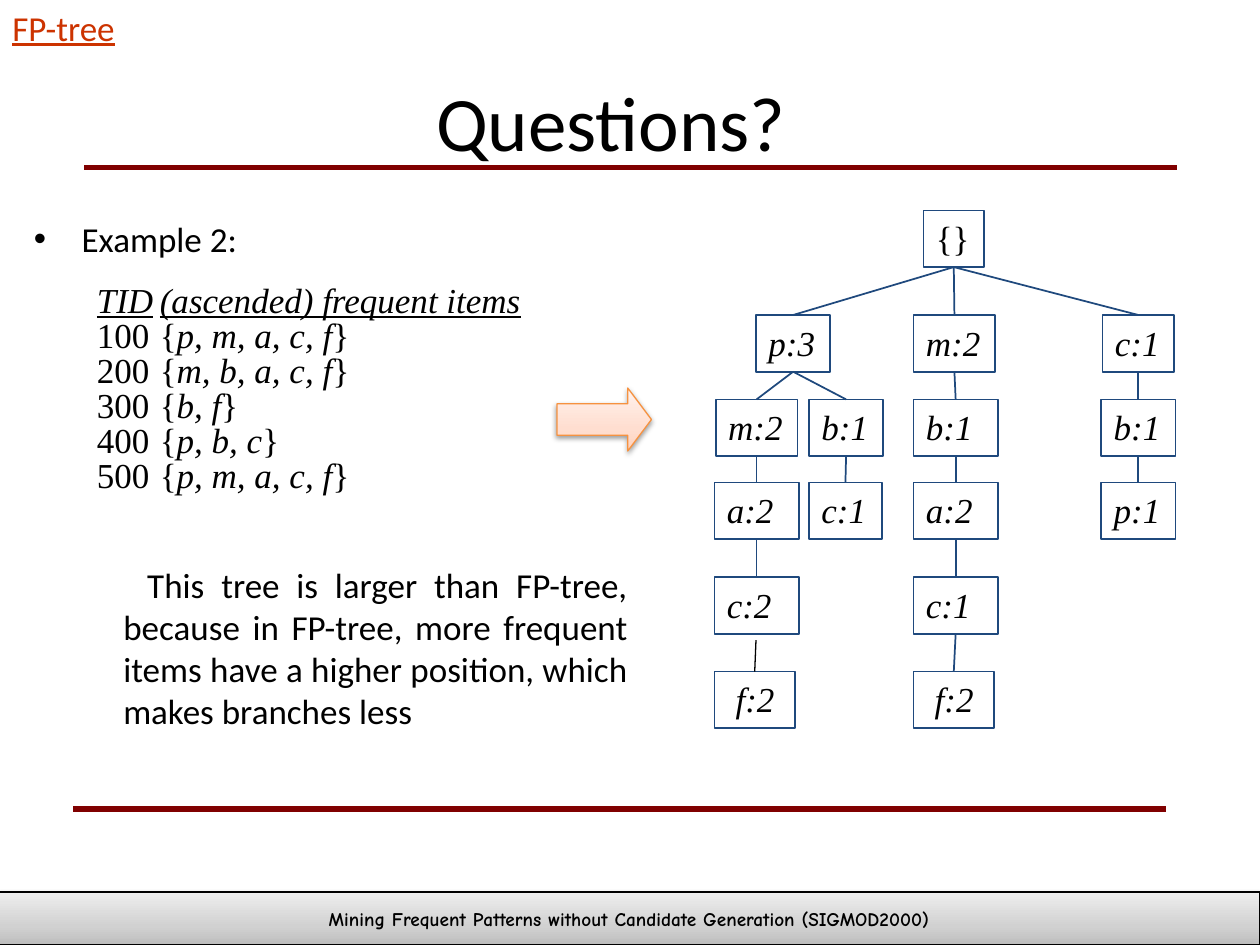
"""Builds the Questions slide on an ascending-order frequent pattern tree."""
from dataclasses import dataclass

from lxml import etree
from pptx import Presentation
from pptx.dml.color import RGBColor
from pptx.enum.shapes import MSO_CONNECTOR, MSO_SHAPE
from pptx.enum.text import MSO_ANCHOR, PP_ALIGN
from pptx.oxml.ns import qn
from pptx.util import Inches, Pt

STRAIGHT = MSO_CONNECTOR.STRAIGHT
RECT, ARROW = MSO_SHAPE.RECTANGLE, MSO_SHAPE.RIGHT_ARROW
TOP, MIDDLE = MSO_ANCHOR.TOP, MSO_ANCHOR.MIDDLE
LEFT, CENTER, JUSTIFY = PP_ALIGN.LEFT, PP_ALIGN.CENTER, PP_ALIGN.JUSTIFY
SIDE_TOP, SIDE_BOTTOM = 0, 2


@dataclass(frozen=True)
class Theme:
    """Colours, fonts and type sizes."""
    ink: str = "000000"
    link: str = "CC3300"
    rule: str = "800000"
    node: str = "1F497D"
    orange: str = "F69240"
    peach: tuple = ((0, "FFD2BD"), (35, "FFDED0"), (100, "FFF2ED"))
    grey: tuple = ((0, "BDBDBD"), (35, "D1D1D1"), (100, "EEEEEE"))
    sans: str = "Calibri"
    serif: str = "Times New Roman"
    comic: str = "Comic Neue"
    title: int = 44
    body: int = 20
    footer: int = 11


THEME = Theme()
LEVELS = (1.67, 2.5, 3.17, 3.83, 4.58, 5.33)
NODE_HEIGHT = 0.45
NODES = (
    ("root", None, "{}", 7.33, 0.48),
    ("p", "root", "p:3", 6, 0.59),
    ("pm", "p", "m:2", 5.68, 0.65),
    ("pma", "pm", "a:2", 5.67, 0.67),
    ("pmac", "pma", "c:2", 5.67, 0.67),
    ("pb", "p", "b:1", 6.42, 0.59),
    ("pbc", "pb", "c:1", 6.42, 0.58),
    ("m", "root", "m:2", 7.25, 0.65),
    ("mb", "m", "b:1", 7.25, 0.67),
    ("mba", "mb", "a:2", 7.25, 0.67),
    ("mbac", "mba", "c:1", 7.25, 0.67),
    ("mbacf", "mbac", "f:2", 7.25, 0.64),
    ("c", "root", "c:1", 8.75, 0.57),
    ("cb", "c", "b:1", 8.74, 0.59),
    ("cbp", "cb", "p:1", 8.74, 0.59),
)
TRANSACTIONS = (
    (100, "p, m, a, c, f"),
    (200, "m, b, a, c, f"),
    (300, "b, f"),
    (400, "p, b, c"),
    (500, "p, m, a, c, f"),
)


def add_text(tf, runs, size=THEME.body, font=THEME.sans, color=THEME.ink, bold=False,
             italic=False, underline=False, align=LEFT, margin=0, indent=0,
             spacing=None, before=None, bullet=None, tab=None, new=False):
    """Write one paragraph from a string or from (text, italic) runs."""
    p = tf.add_paragraph() if new else tf.paragraphs[0]
    p.alignment, p.line_spacing, p.space_before = align, spacing, before
    pPr = p._p.get_or_add_pPr()
    pPr.set("marL", str(Inches(margin)))
    pPr.set("indent", str(Inches(indent)))
    if bullet:
        etree.SubElement(pPr, qn("a:buFont"), typeface="Arial")
        etree.SubElement(pPr, qn("a:buChar"), char=bullet)
    if tab:
        tabs = etree.SubElement(pPr, qn("a:tabLst"))
        etree.SubElement(tabs, qn("a:tab"), pos=str(Inches(tab)), algn="l")
    for words, slanted in [(runs, italic)] if isinstance(runs, str) else runs:
        r = p.add_run()
        r.text = words
        r.font.name, r.font.size = font, Pt(size)
        r.font.bold, r.font.italic, r.font.underline = bold, slanted, underline
        r.font.color.rgb = RGBColor.from_string(color)


class SlideBuilder:
    """Holds the theme and the current slide."""

    def __init__(self, s, theme):
        """Keep the slide and its style."""
        self.s, self.theme = s, theme

    def text(self, box, runs, anchor=TOP, wrap=True, **fmt):
        """Add a text box and return its frame."""
        tf = self.s.shapes.add_textbox(*map(Inches, box)).text_frame
        tf.word_wrap, tf.vertical_anchor = wrap, anchor
        add_text(tf, runs, **fmt)
        return tf

    def shape(self, kind, box, line, width):
        """Add an unfilled preset shape without shadow."""
        sp = self.s.shapes.add_shape(kind, *map(Inches, box))
        sp.fill.background()
        sp.line.color.rgb = RGBColor.from_string(line)
        sp.line.width = Pt(width)
        sp.shadow.inherit = False
        return sp

    def glossy(self, kind, box, line, stops):
        """Add a shape with an upward gradient and a soft shadow."""
        sp = self.shape(kind, box, line, 0.75)
        sp.fill.gradient()
        sp.fill.gradient_angle = 90
        spPr = sp._element.spPr
        gs_list = spPr.find(".//" + qn("a:gsLst"))
        for gs in list(gs_list):
            gs_list.remove(gs)
        for pos, color in stops:
            gs = etree.SubElement(gs_list, qn("a:gs"), pos=str(pos * 1000))
            etree.SubElement(gs, qn("a:srgbClr"), val=color)
        shadow = etree.SubElement(spPr.find(qn("a:effectLst")), qn("a:outerShdw"),
                                  blurRad=str(Pt(3.1)), dist=str(Pt(1.6)),
                                  dir="5400000", rotWithShape="0")
        color = etree.SubElement(shadow, qn("a:srgbClr"), val=self.theme.ink)
        etree.SubElement(color, qn("a:alpha"), val="38000")
        return sp

    def node(self, words, left, top, width, **fmt):
        """Add one tree node."""
        sp = self.shape(RECT, (left, top, width, NODE_HEIGHT), self.theme.node, 1)
        tf = sp.text_frame
        tf.word_wrap, tf.vertical_anchor = True, TOP
        add_text(tf, words, font=self.theme.serif, **fmt)
        return sp

    def line(self, start, end, color, width):
        """Add a straight line."""
        cx = self.s.shapes.add_connector(STRAIGHT, *map(Inches, (*start, *end)))
        cx.line.color.rgb = RGBColor.from_string(color)
        cx.line.width = Pt(width)
        etree.SubElement(cx._element.spPr, qn("a:effectLst"))
        return cx

    def edge(self, parent, child):
        """Join a parent node to its child."""
        cx = self.line((0, 0), (1, 1), self.theme.node, 1)
        cx.begin_connect(parent, SIDE_BOTTOM)
        cx.end_connect(child, SIDE_TOP)


def draw_tree(b):
    """Draw the nodes level by level and their edges."""
    placed = {}
    for key, parent, words, left, width in NODES:
        level = placed[parent][1] + 1 if parent else 0
        sp = b.node(words, left, LEVELS[level], width, italic=bool(parent),
                    margin=0.07 if words == "f:2" else 0)
        placed[key] = sp, level
        if parent:
            b.edge(placed[parent][0], sp)
    leaf = b.node("f:2", 5.67, LEVELS[-1], 0.64, italic=True, margin=0.07)
    b.line((6, 5.08), (6, LEVELS[-1]), b.theme.ink, 0.75).end_connect(leaf, SIDE_TOP)


def main():
    """Build and save the slide."""
    prs = Presentation()
    prs.slide_width, prs.slide_height = Inches(10), Inches(7.5)
    t = THEME
    b = SlideBuilder(prs.slides.add_slide(prs.slide_layouts[6]), t)

    b.text((0.17, 1.58, 5, 0.6), "Example 2:", bullet="•", margin=0.38,
           indent=-0.38, spacing=1.3)
    b.text((0, 0.5, 9.7, 0.91), "Questions?", anchor=MIDDLE, align=CENTER, size=t.title)
    b.text((0, 0, 1.13, 0.43), "FP-tree", wrap=False, color=t.link, underline=True)
    footer = b.glossy(RECT, (-0.01, 7.08, 10.01, 0.42), t.ink, t.grey).text_frame
    footer.word_wrap, footer.vertical_anchor = False, MIDDLE
    add_text(footer, "Mining Frequent Patterns without Candidate Generation (SIGMOD2000)",
             size=t.footer, font=t.comic, bold=True, align=CENTER)
    b.glossy(ARROW, (4.42, 3.08, 0.75, 0.5), t.orange, t.peach).adjustments[1] = 0.375

    tf = b.text((0.67, 2.33, 3.92, 1.74), "TID\t(ascended) frequent items", font=t.serif,
                italic=True, underline=True, spacing=0.4, tab=0.8)
    for tid, items in TRANSACTIONS:
        add_text(tf, [(f"{tid}\t{{", False), (items, True), ("}", False)], font=t.serif,
                 spacing=0.4, before=Pt(10.4), tab=1.12, new=True)

    draw_tree(b)
    b.text((0.5, 4.42, 4.58, 1.45),
           "This tree is larger than FP-tree, because in FP-tree, more frequent items "
           "have a higher position, which makes branches less",
           align=JUSTIFY, margin=0.38, indent=0.19)
    for left, y in ((0.67, 1.33), (0.58, 6.42)):
        b.line((left, y), (left + 8.67, y), t.rule, 3.25)
    prs.save("out.pptx")


if __name__ == "__main__":
    main()
